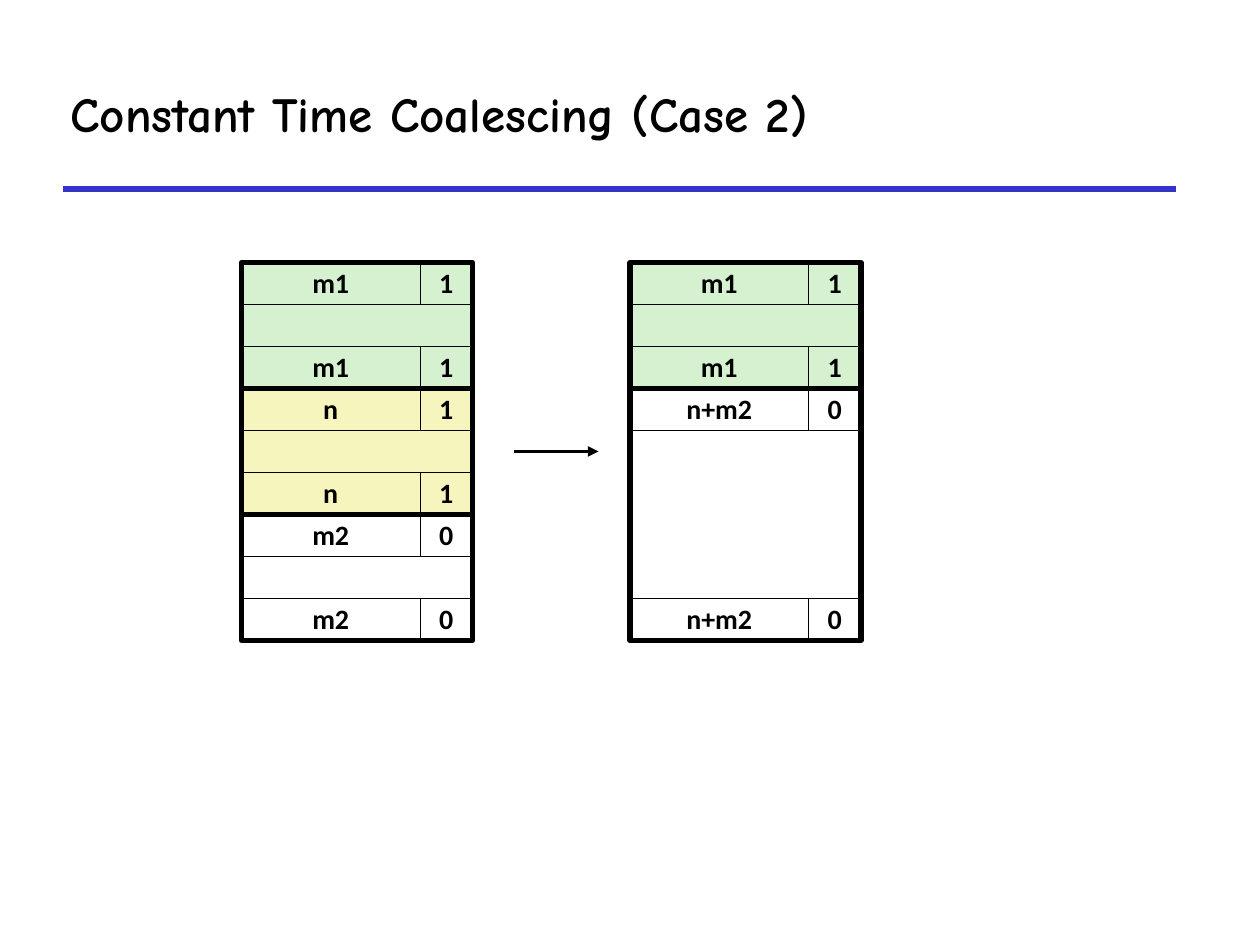
from dataclasses import dataclass
from typing import Optional

from lxml.etree import SubElement
from pptx import Presentation
from pptx.dml.color import RGBColor
from pptx.enum.shapes import MSO_CONNECTOR as Connector, MSO_SHAPE as Shape
from pptx.enum.text import MSO_ANCHOR as Anchor, PP_ALIGN as Align
from pptx.oxml.ns import qn
from pptx.util import Inches, Pt

BLACK = RGBColor(0x00, 0x00, 0x00)
WHITE = RGBColor(0xFF, 0xFF, 0xFF)
BLUE = RGBColor(0x33, 0x33, 0xCC)
GREEN = RGBColor(0xD5, 0xF1, 0xCF)
YELLOW = RGBColor(0xF6, 0xF5, 0xBD)

UNITS_PER_INCH = 12
ROW = 4
SIZE_WIDTH = 17
FLAG_WIDTH = 5
BLOCK_WIDTH = SIZE_WIDTH + FLAG_WIDTH
HEAP_TOP = 25
BEFORE_LEFT = 23
AFTER_LEFT = 60


@dataclass(frozen=True)
class Block:
    size: str
    flag: str
    color: RGBColor
    rows: int = 3


BEFORE = [Block("m1", "1", GREEN), Block("n", "1", YELLOW), Block("m2", "0", WHITE)]
AFTER = [Block("m1", "1", GREEN), Block("n+m2", "0", WHITE, rows=6)]


def units(count: float) -> int:
    return Inches(count / UNITS_PER_INCH)


def add_run(para, text: str, font_name: str, size: float) -> None:
    span = para.add_run()
    span.text = text
    span.font.name = font_name
    span.font.size = Pt(size)
    span.font.bold = True
    span.font.color.rgb = BLACK


def add_box(slide, left: float, top: float, width: float, height: float,
            color: Optional[RGBColor], border: float, text: str = "") -> None:
    box = slide.shapes.add_shape(
        Shape.RECTANGLE, units(left), units(top), units(width), units(height))
    box.shadow.inherit = False
    if color is None:
        box.fill.background()
    else:
        box.fill.solid()
        box.fill.fore_color.rgb = color
    box.line.color.rgb = BLACK
    box.line.width = Pt(border)
    if text:
        frame = box.text_frame
        frame.word_wrap = False
        frame.vertical_anchor = Anchor.MIDDLE
        para = frame.paragraphs[0]
        para.alignment = Align.CENTER
        para.line_spacing = 0.98
        add_run(para, text, "Calibri", 16)


def add_block(slide, left: float, top: float, block: Block) -> None:
    height = block.rows * ROW
    for tag_top in (top, top + height - ROW):
        add_box(slide, left, tag_top, SIZE_WIDTH, ROW, block.color, 0.25, block.size)
        add_box(slide, left + SIZE_WIDTH, tag_top, FLAG_WIDTH, ROW,
                block.color, 0.25, block.flag)
    add_box(slide, left, top + ROW, BLOCK_WIDTH, height - 2 * ROW, block.color, 0.25)
    add_box(slide, left, top, BLOCK_WIDTH, height, None, 3)


def add_heap(slide, left: float, blocks: list[Block]) -> None:
    top = HEAP_TOP
    for block in blocks:
        add_block(slide, left, top, block)
        top += block.rows * ROW


def add_line(slide, left: float, right: float, level: float, color: RGBColor,
             width: float, arrow: bool = False) -> None:
    line = slide.shapes.add_connector(
        Connector.STRAIGHT, units(left), units(level), units(right), units(level))
    line.line.color.rgb = color
    line.line.width = Pt(width)
    if arrow:
        SubElement(line.line._get_or_add_ln(), qn("a:tailEnd"), type="triangle")
    SubElement(line._element.spPr, qn("a:effectLst"))


def add_title(slide, text: str) -> None:
    title = slide.shapes.title
    title.left, title.top = Inches(0.46), Inches(0.58)
    title.width, title.height = Inches(9.08), Inches(0.63)
    title.text_frame.vertical_anchor = Anchor.MIDDLE
    para = title.text_frame.paragraphs[0]
    para.alignment = Align.LEFT
    add_run(para, text, "Comic Neue", 28)


def main() -> None:
    deck = Presentation()
    deck.slide_width, deck.slide_height = Inches(10), Inches(7.5)
    page = deck.slides.add_slide(deck.slide_layouts[5])
    add_line(page, 6, 112, 18, BLUE, 3)
    add_title(page, "Constant Time Coalescing (Case 2)")
    add_heap(page, BEFORE_LEFT, BEFORE)
    add_heap(page, AFTER_LEFT, AFTER)
    add_line(page, 49, 57, HEAP_TOP + 4.5 * ROW, BLACK, 2, arrow=True)
    deck.save("out.pptx")


if __name__ == "__main__":
    main()
